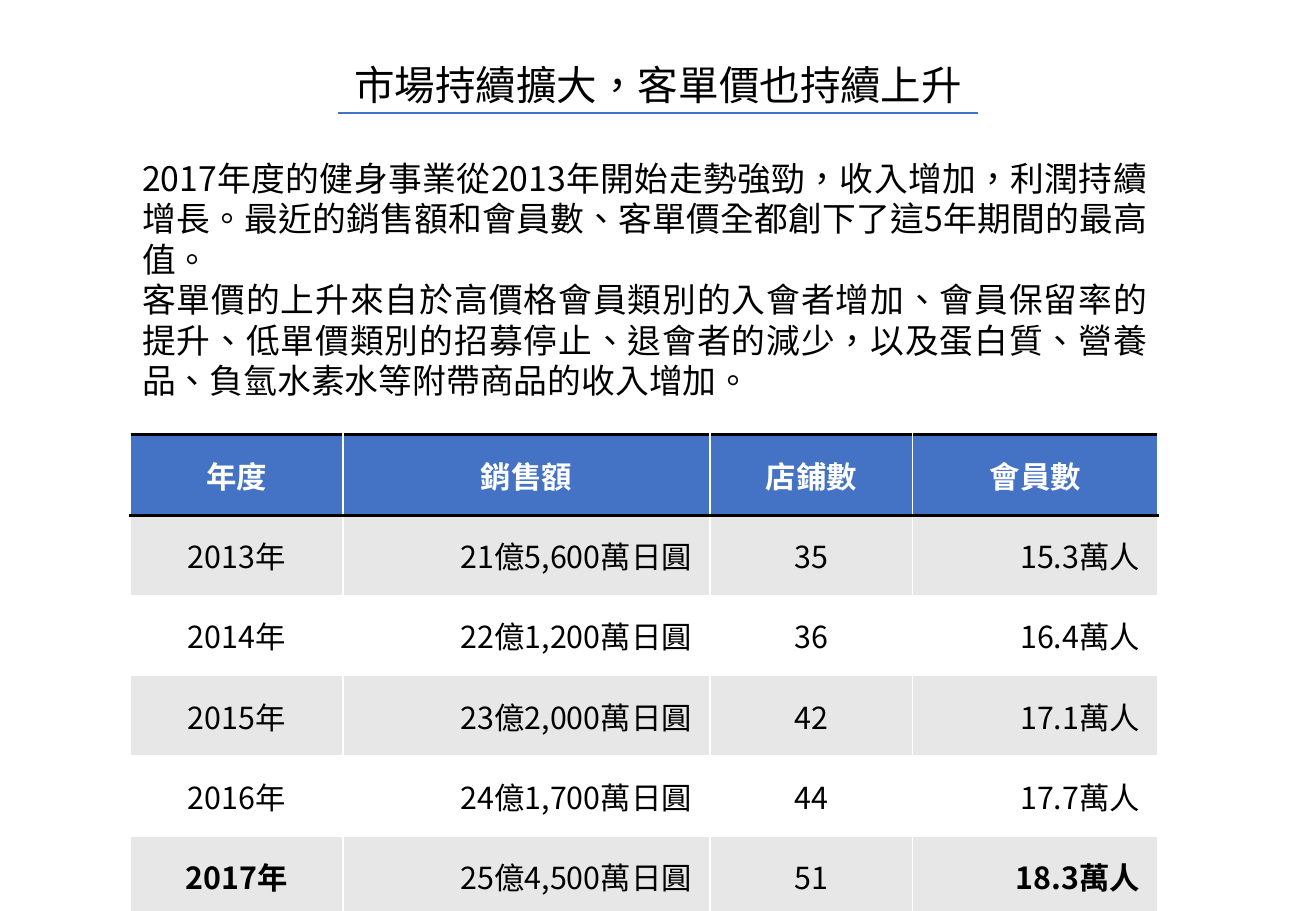
from lxml.etree import SubElement
from pptx import Presentation
from pptx.dml.color import RGBColor
from pptx.enum.lang import MSO_LANGUAGE_ID
from pptx.enum.shapes import MSO_CONNECTOR
from pptx.enum.text import MSO_ANCHOR, MSO_AUTO_SIZE, PP_ALIGN
from pptx.oxml.ns import qn
from pptx.util import Cm, Pt

FONT = "Noto Sans CJK SC"
BLACK = RGBColor(0x00, 0x00, 0x00)
WHITE = RGBColor(0xFF, 0xFF, 0xFF)
BLUE = RGBColor(0x44, 0x72, 0xC4)
GREY = RGBColor(0xE7, 0xE7, 0xE7)

TITLE = "市場持續擴大，客單價也持續上升"
BODY = [
    "2017年度的健身事業從2013年開始走勢強勁，收入增加，利潤持續增長。"
    "最近的銷售額和會員數、客單價全都創下了這5年期間的最高值。",
    "客單價的上升來自於高價格會員類別的入會者增加、會員保留率的提升、"
    "低單價類別的招募停止、退會者的減少，以及蛋白質、營養品、"
    "負氫水素水等附帶商品的收入增加。",
]
RESULTS = [
    ("年度", "銷售額", "店鋪數", "會員數"),
    ("2013年", "21億5,600萬日圓", "35", "15.3萬人"),
    ("2014年", "22億1,200萬日圓", "36", "16.4萬人"),
    ("2015年", "23億2,000萬日圓", "42", "17.1萬人"),
    ("2016年", "24億1,700萬日圓", "44", "17.7萬人"),
    ("2017年", "25億4,500萬日圓", "51", "18.3萬人"),
]
COLUMN_WIDTHS = [4.45, 7.67, 4.24, 5.13]
COLUMN_ALIGNMENTS = [PP_ALIGN.CENTER, PP_ALIGN.RIGHT, PP_ALIGN.CENTER, PP_ALIGN.RIGHT]
HIGHLIGHTED_COLUMNS = (0, 3)


def format_paragraph(paragraph, size, alignment, color=BLACK, bold=False):
    paragraph.alignment = alignment
    font = paragraph.font
    font.name = FONT
    font.size = Pt(size)
    font.bold = bold
    font.color.rgb = color
    font.language_id = MSO_LANGUAGE_ID.TRADITIONAL_CHINESE
    properties = paragraph._p.pPr.find(qn("a:defRPr"))
    latin = properties.find(qn("a:latin"))
    east_asian = SubElement(properties, qn("a:ea"), typeface=FONT)
    latin.addnext(east_asian)


def fill_text(shape, texts, size, alignment):
    frame = shape.text_frame
    frame.text = "\n".join(texts)
    frame.word_wrap = True
    frame.auto_size = MSO_AUTO_SIZE.NONE
    frame.vertical_anchor = MSO_ANCHOR.TOP
    for paragraph in frame.paragraphs:
        format_paragraph(paragraph, size, alignment)
        paragraph.line_spacing = Pt(size * 1.2)
        paragraph.space_before = Pt(0)


def add_title(slide):
    title = slide.shapes.title
    title.left, title.top, title.width, title.height = Cm(6.32), Cm(1.12), Cm(14.88), Cm(1.27)
    fill_text(title, [TITLE], 24, PP_ALIGN.CENTER)


def add_body(slide):
    body = slide.shapes.add_textbox(Cm(2.72), Cm(3.17), Cm(21.51), Cm(5.38))
    fill_text(body, BODY, 20, PP_ALIGN.JUSTIFY)


def add_title_rule(slide):
    rule = slide.shapes.add_connector(
        MSO_CONNECTOR.STRAIGHT, Cm(7.06), Cm(2.36), Cm(20.45), Cm(2.36)
    )
    rule.line.color.rgb = BLUE
    rule.line.width = Pt(1.5)
    SubElement(rule._element.spPr, qn("a:effectLst"))


def add_borders(cell, sides):
    properties = cell._tc.get_or_add_tcPr()
    for position, side in enumerate(sides):
        line = SubElement(properties, qn(f"a:{side}"), w=str(Pt(2)))
        solid = SubElement(line, qn("a:solidFill"))
        SubElement(solid, qn("a:srgbClr"), val=str(BLACK))
        properties.insert(position, line)


def format_cell(cell, row, column):
    is_header = row == 0
    is_last = row == len(RESULTS) - 1
    cell.text = RESULTS[row][column]
    cell.vertical_anchor = MSO_ANCHOR.MIDDLE
    cell.margin_left = cell.margin_right = cell.margin_top = cell.margin_bottom = Cm(0.38)
    cell.fill.solid()
    cell.fill.fore_color.rgb = BLUE if is_header else GREY if row % 2 else WHITE
    format_paragraph(
        cell.text_frame.paragraphs[0],
        18,
        PP_ALIGN.CENTER if is_header else COLUMN_ALIGNMENTS[column],
        WHITE if is_header else BLACK,
        is_header or (is_last and column in HIGHLIGHTED_COLUMNS),
    )
    if is_header:
        add_borders(cell, ["lnT", "lnB"])
    elif is_last:
        add_borders(cell, ["lnB"])


def add_results_table(slide):
    table = slide.shapes.add_table(
        len(RESULTS), len(COLUMN_WIDTHS), Cm(2.72), Cm(9.09), Cm(21.49), Cm(8.1)
    ).table
    for column, width in zip(table.columns, COLUMN_WIDTHS):
        column.width = Cm(width)
    for row in range(len(RESULTS)):
        for column in range(len(COLUMN_WIDTHS)):
            format_cell(table.cell(row, column), row, column)


def main():
    presentation = Presentation()
    presentation.slide_width = Cm(27.51)
    presentation.slide_height = Cm(19.05)
    slide = presentation.slides.add_slide(presentation.slide_layouts[5])
    add_results_table(slide)
    add_title(slide)
    add_body(slide)
    add_title_rule(slide)
    presentation.save("out.pptx")


if __name__ == "__main__":
    main()
